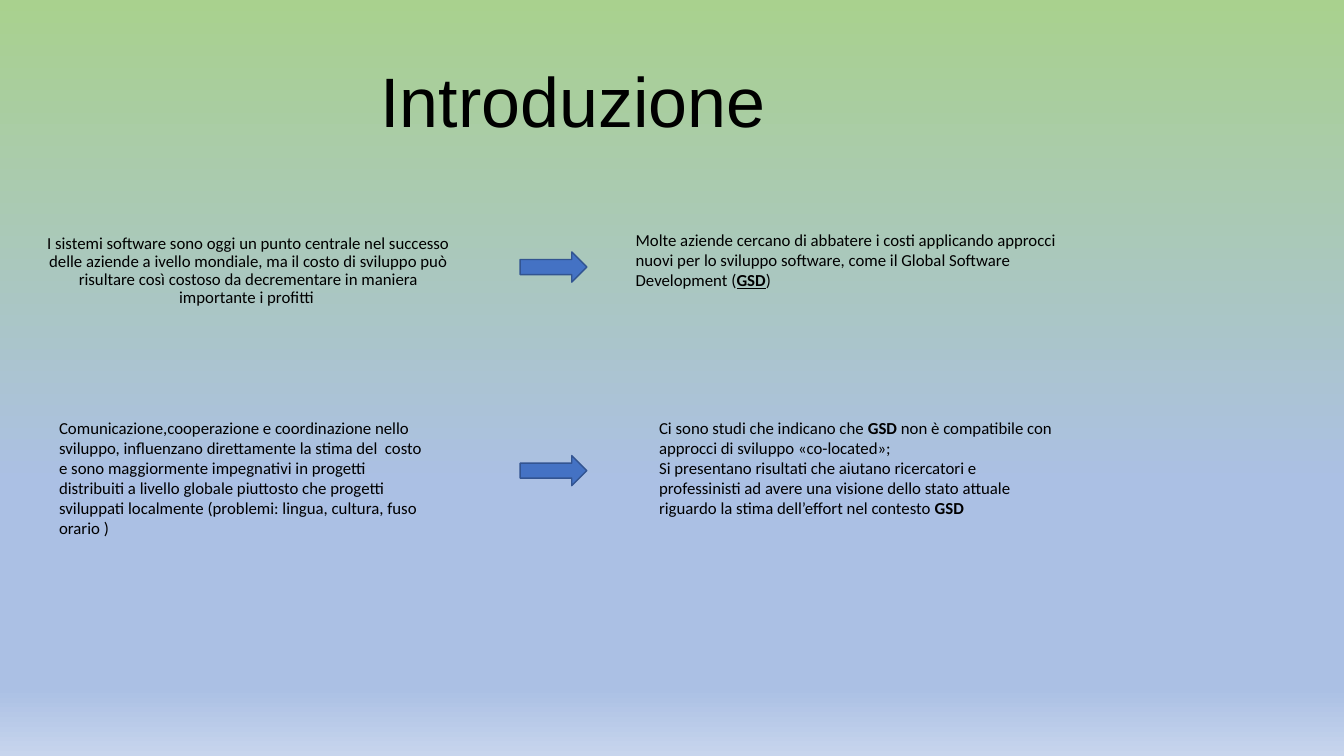
import copy

import pptx
import pptx.dml.color
import pptx.enum.shapes
import pptx.enum.text
import pptx.oxml.ns
import pptx.util

Cm, Pt = pptx.util.Cm, pptx.util.Pt
ALIGN = pptx.enum.text.PP_ALIGN
ANCHOR = pptx.enum.text.MSO_ANCHOR

# Background stops: position, colour
GRADIENT = [(0, "A9D18E"), (0.64, "ABC0E4"), (0.91, "ABC0E4"), (1, "C7D5ED")]

# Each paragraph is a list of (text, style); style letters: b bold, u underlined
TITLE = [[("Introduzione", "")]]
COSTS = [[("I sistemi software sono oggi un punto centrale nel successo delle aziende "
           "a ivello mondiale, ma il costo di sviluppo può risultare così costoso da "
           "decrementare in maniera importante i profitti ", "")]]
APPROACH = [[("Molte aziende cercano di abbatere i costi applicando approcci nuovi per lo "
              "sviluppo software, come il Global Software Development (", ""),
             ("GSD", "bu"), (")", "")]]
TEAMWORK = [[("Comunicazione,cooperazione e coordinazione nello sviluppo, influenzano "
              "direttamente la stima del  costo e sono maggiormente impegnativi in progetti "
              "distribuiti a livello globale piuttosto che progetti sviluppati localmente "
              "(problemi: lingua, cultura, fuso orario )", "")]]
STUDIES = [[("Ci sono studi che indicano che ", ""), ("GSD ", "b"),
            ("non è compatibile con approcci di sviluppo «co-located»;", "")],
           [("Si presentano risultati che aiutano ricercatori e professinisti ad avere una "
             "visione dello stato attuale riguardo la stima dell’effort nel contesto ", ""),
            ("GSD", "b")]]

# Left, top, width, height in cm
BODY_TEXTS = [
    (APPROACH, (15.77, 5.66, 11.76, 1.8)),
    (TEAMWORK, (1.24, 10.39, 9.8, 3.33)),
    (STUDIES, (16.36, 10.39, 10.62, 2.82)),
]
ARROW_LEFT, ARROW_WIDTH, ARROW_HEIGHT = 13.11, 1.68, 0.76
ARROW_TOPS = [6.35, 11.48]


def colour(value):
    return pptx.dml.color.RGBColor.from_string(value)


def paint_background(page):
    fill = page.background.fill
    fill.gradient()
    fill.gradient_angle = 270  # counter-clockwise: runs from top to bottom
    stop_list = page.element.find(".//" + pptx.oxml.ns.qn("a:gsLst"))
    while len(stop_list) < len(GRADIENT):
        stop_list.append(copy.deepcopy(stop_list[0]))
    for stop, (position, value) in zip(fill.gradient_stops, GRADIENT):
        stop.position = position
        stop.color.rgb = colour(value)


def add_text(page, paragraphs, place, size=12, font="Calibri", align=ALIGN.LEFT,
             anchor=ANCHOR.TOP, line_spacing=1.0, space_before=0):
    box = page.shapes.add_textbox(*map(Cm, place))
    frame = box.text_frame
    frame.word_wrap = True
    frame.vertical_anchor = anchor
    for index, spans in enumerate(paragraphs):
        para = frame.add_paragraph() if index else frame.paragraphs[0]
        para.alignment = align
        para.line_spacing = line_spacing
        para.space_before = Pt(space_before)
        for text, style in spans:
            span = para.add_run()
            span.text = text
            span.font.name = font
            span.font.size = Pt(size)
            span.font.color.rgb = colour("000000")
            span.font.bold = "b" in style
            span.font.underline = "u" in style


def add_arrow(page, top):
    arrow = page.shapes.add_shape(
        pptx.enum.shapes.MSO_SHAPE.RIGHT_ARROW,
        Cm(ARROW_LEFT), Cm(top), Cm(ARROW_WIDTH), Cm(ARROW_HEIGHT))
    arrow.shadow.inherit = False
    arrow.fill.solid()
    arrow.fill.fore_color.rgb = colour("4472C4")
    arrow.line.color.rgb = colour("325491")
    arrow.line.width = Pt(1)


def main():
    deck = pptx.Presentation()
    deck.slide_width, deck.slide_height = Cm(33.87), Cm(19.05)
    page = deck.slides.add_slide(deck.slide_layouts[6])
    paint_background(page)
    add_text(page, TITLE, (1.75, 1.07, 25.4, 2.64), size=50, font="Arial",
             align=ALIGN.CENTER, anchor=ANCHOR.BOTTOM, line_spacing=0.9)
    add_text(page, COSTS, (0.81, 5.79, 10.9, 2.64), align=ALIGN.CENTER,
             line_spacing=0.9, space_before=10)
    for paragraphs, place in BODY_TEXTS:
        add_text(page, paragraphs, place)
    for top in ARROW_TOPS:
        add_arrow(page, top)
    deck.save("out.pptx")


if __name__ == "__main__":
    main()
